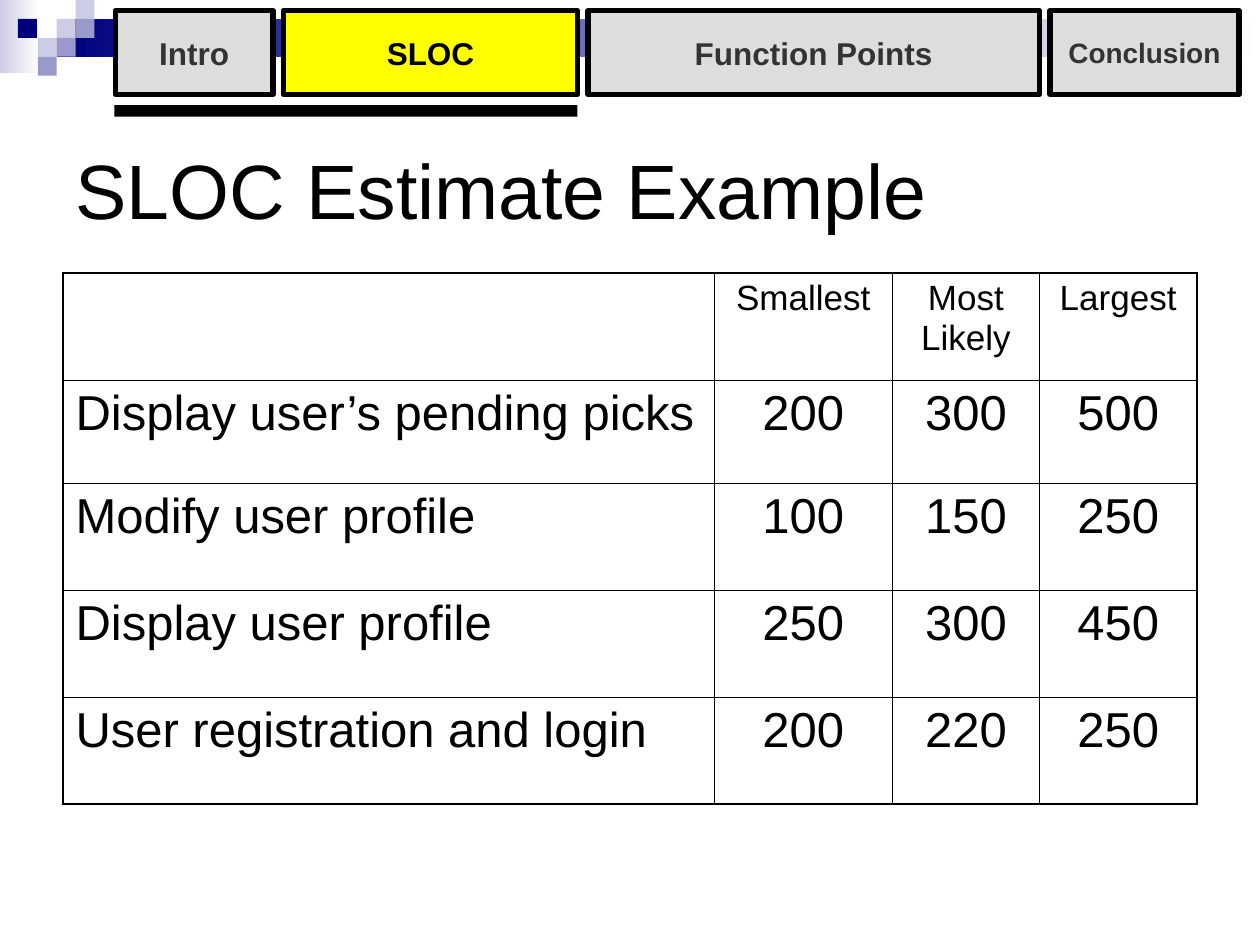
import pptx
import pptx.dml.color
import pptx.enum.shapes
import pptx.enum.text
import pptx.oxml
import pptx.oxml.ns
import pptx.util
from lxml import etree

ALIGN = pptx.enum.text.PP_ALIGN
MIDDLE = pptx.enum.text.MSO_ANCHOR.MIDDLE
UNIT = 1 / 12    # grid: 120 columns by 90 rows
TILE = 1.8       # side of a corner tile, in grid units
BLACK, GREY, NAVY = "000000", "333333", "00007D"
PALE, LILAC, WHITE = "CCCCE6", "9999CC", "FFFFFF"


def color(code):
    return pptx.dml.color.RGBColor.from_string(code)


def grid(*units):
    return [pptx.util.Inches(unit * UNIT) for unit in units]


class SlideBuilder:
    font = "Arial"
    thin, thick = 0.45, 1.08

    def __init__(self, deck):
        self.page = deck.slides.add_slide(deck.slide_layouts[5])

    def add_text(self, frame, text, size, ink=BLACK, bold=False, align=ALIGN.CENTER):
        para = frame.paragraphs[0]
        para.alignment = align
        span = para.add_run()
        span.text = text
        span.font.name = self.font
        span.font.size = pptx.util.Pt(size)
        span.font.bold = bold
        span.font.color.rgb = color(ink)

    def block(self, left, top, width, height, fill, fade=None):
        """Plain rectangle; with fade, it blends from fill at left to fade at right."""
        box = self.page.shapes.add_shape(
            pptx.enum.shapes.MSO_SHAPE.RECTANGLE, *grid(left, top, width, height))
        box.shadow.inherit = False
        box.line.fill.background()
        if fade:
            box.fill.gradient()
            box.fill.gradient_angle = 180
            for stop, code in zip(box.fill.gradient_stops, (fade, fill)):
                stop.color.rgb = color(code)
        else:
            box.fill.solid()
            box.fill.fore_color.rgb = color(fill)
        return box

    def tab(self, left, width, text, size, active):
        box = self.block(left, 1, width, 8, "FFFF00" if active else "DDDDDD")
        box.line.color.rgb = color(BLACK)
        box.line.width = pptx.util.Pt(3)
        box.text_frame.word_wrap = True
        box.text_frame.vertical_anchor = MIDDLE
        self.add_text(box.text_frame, text, size, BLACK if active else GREY, bold=True)

    def title(self, left, top, width, height, text):
        box = self.page.shapes.title
        box.left, box.top, box.width, box.height = grid(left, top, width, height)
        box.text_frame.auto_size = pptx.enum.text.MSO_AUTO_SIZE.NONE
        box.text_frame.vertical_anchor = MIDDLE
        self.add_text(box.text_frame, text, 44, align=ALIGN.LEFT)

    def borders(self, cell, edges):
        """Draw all four sides; those named in edges are thick."""
        properties = cell._tc.get_or_add_tcPr()
        for side in "LRTB":
            width = pptx.util.Pt(self.thick if side in edges else self.thin)
            line = etree.SubElement(
                properties, pptx.oxml.ns.qn(f"a:ln{side}"), w=str(int(width)))
            fill = etree.SubElement(line, pptx.oxml.ns.qn("a:solidFill"))
            etree.SubElement(fill, pptx.oxml.ns.qn("a:srgbClr"), val=BLACK)

    def table(self, left, top, widths, heights, rows):
        frame = self.page.shapes.add_table(
            len(heights), len(widths), *grid(left, top, sum(widths), sum(heights)))
        table = frame.table
        table.first_row = table.horz_banding = False
        for column, width in zip(table.columns, grid(*widths)):
            column.width = width
        for row, height in zip(table.rows, grid(*heights)):
            row.height = height
        last_row, last_column = len(heights) - 1, len(widths) - 1
        for r, texts in enumerate(rows):
            for c, text in enumerate(texts):
                cell = table.cell(r, c)
                outer = {"T": r == 0, "B": r == last_row,
                         "L": c == 0, "R": c == last_column}
                self.borders(cell, [side for side, on in outer.items() if on])
                cell.fill.background()
                if text:
                    self.add_text(cell.text_frame, text, 28 if r else 20,
                                  align=ALIGN.CENTER if c else ALIGN.LEFT)


def main():
    deck = pptx.Presentation()
    deck.slide_width, deck.slide_height = grid(120, 90)
    slide = SlideBuilder(deck)

    # Corner decoration: fading bands, then tiles by column and row
    slide.block(0, 0, 3.7, 7, PALE, fade=WHITE)
    slide.block(3 * TILE, TILE, 120 - 3 * TILE, 2 * TILE, NAVY, fade=WHITE)
    tiles = [(3, 1, PALE), (4, 0, PALE), (4, 1, LILAC), (2, 2, PALE),
             (0.95, 1, NAVY), (3, 2, LILAC), (2, 3, LILAC)]
    for column, row, fill in tiles:
        slide.block(column * TILE, row * TILE, TILE, TILE, fill)

    # Navigation tabs, one grid unit apart, and the progress bar
    left = 11
    for text, width, size in [("Intro", 15, 18), ("SLOC", 28, 18),
                              ("Function Points", 43, 18), ("Conclusion", 18, 16)]:
        slide.tab(left, width, text, size, active=text == "SLOC")
        left += width + 1
    slide.block(10.9, 10, 44.1, 1.1, BLACK)

    # Title and estimates
    slide.title(6, 13, 108, 10, "SLOC Estimate Example")
    slide.table(6, 26, [62, 17, 14, 15], [10.2, 9.8, 10.2, 10.2, 10.2], [
        ["", "Smallest", "Most Likely", "Largest"],
        ["Display user’s pending picks", "200", "300", "500"],
        ["Modify user profile", "100", "150", "250"],
        ["Display user profile", "250", "300", "450"],
        ["User registration and login", "200", "220", "250"],
    ])

    deck.save("out.pptx")


if __name__ == "__main__":
    main()
